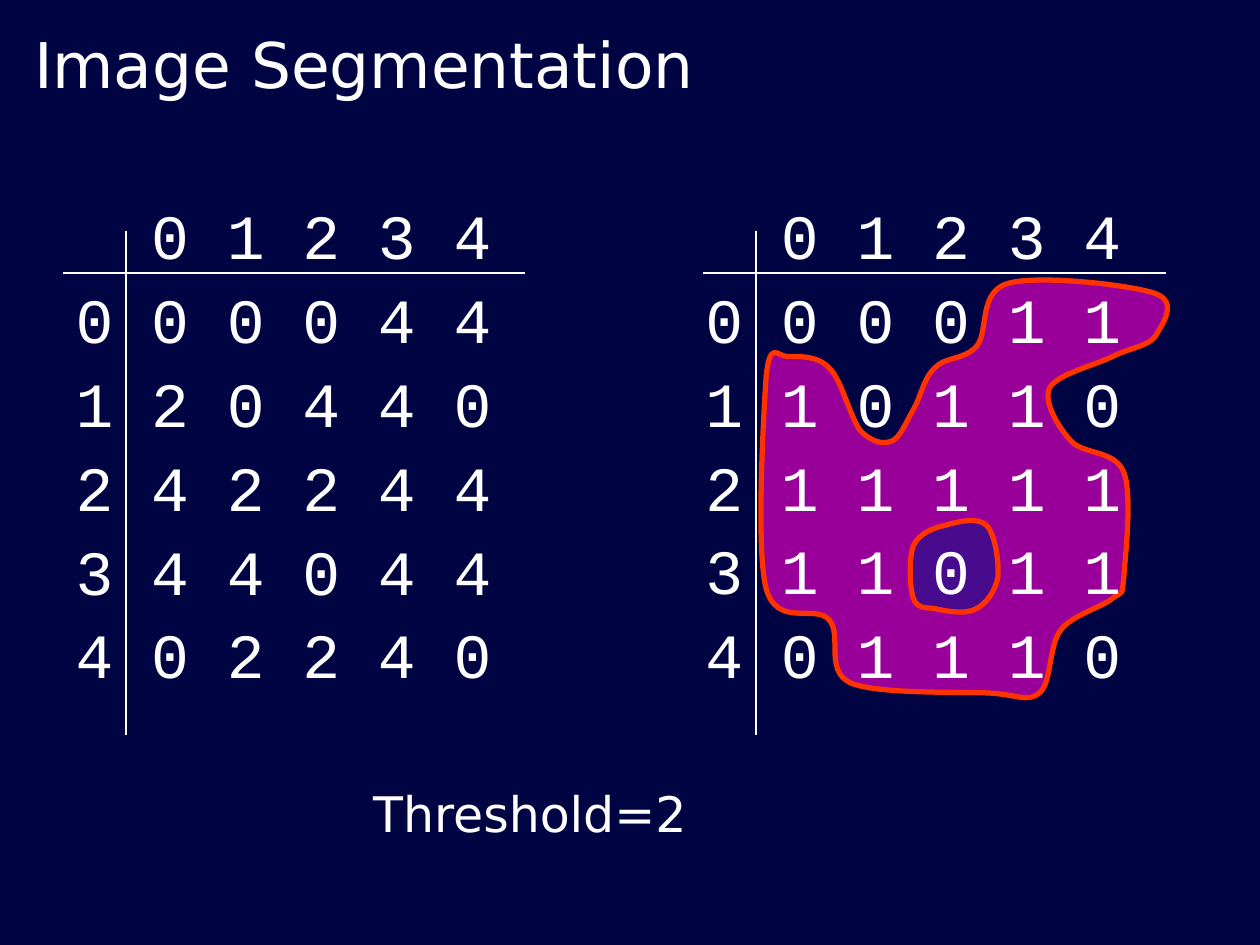
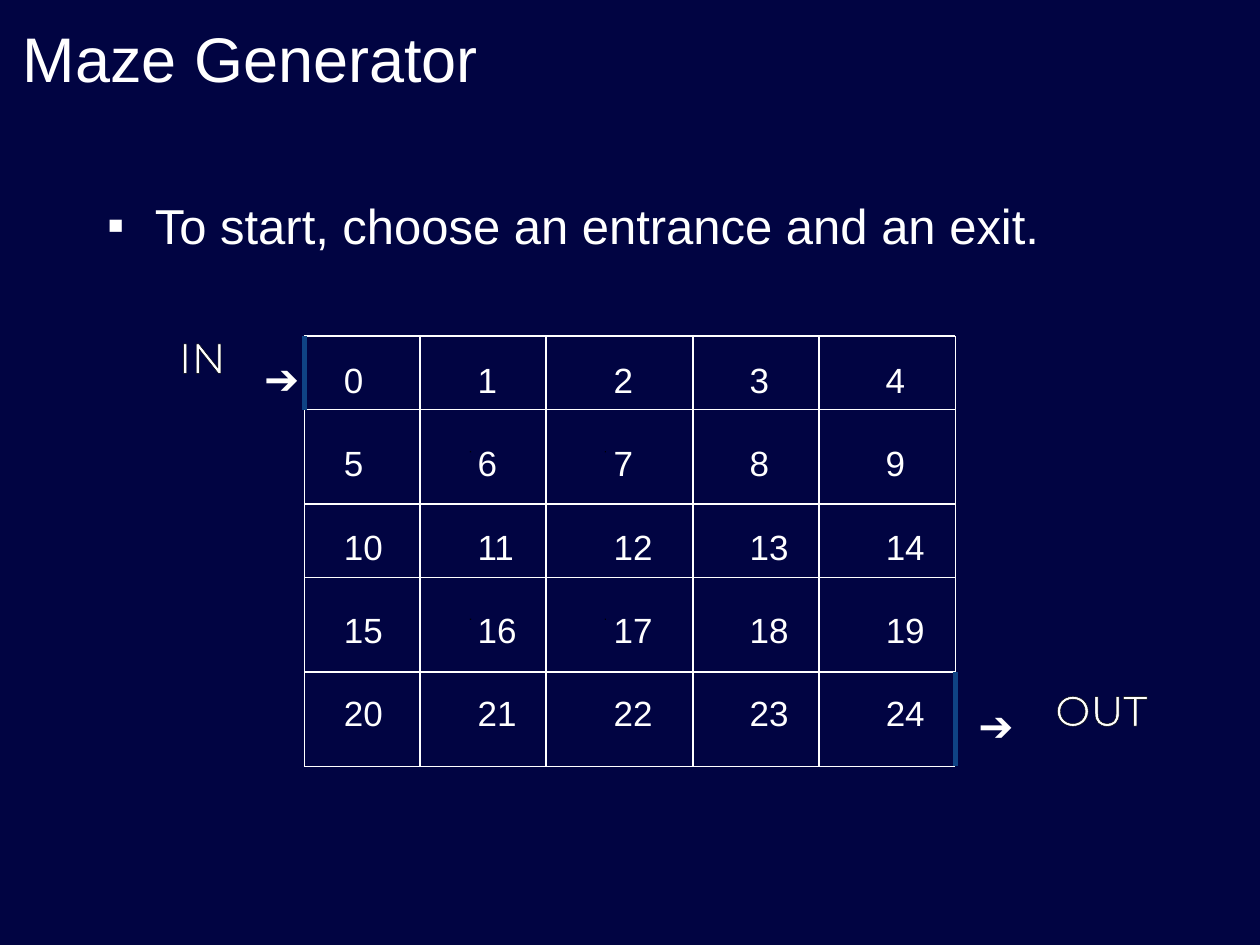
from itertools import product
from lxml.etree import SubElement as Sub
from pptx import Presentation
from pptx.dml.color import RGBColor as Rgb
from pptx.enum.shapes import MSO_CONNECTOR as Link, MSO_SHAPE as Shape
from pptx.enum.text import MSO_ANCHOR as Anchor, MSO_AUTO_SIZE as Auto, PP_ALIGN as Align
from pptx.oxml.ns import qn
from pptx.util import Pt

PX = 9144
UNIT = 100 / 12
COLORS = dict(back="010442", text="FFFFFF", edge="000000", region="990099",
              hole="490B8D", rim="FF3300", door="0F4384")
SANS, MONO, ROUND, WIDE = "Arial", "Courier New", "Montserrat", "DejaVu Sans"

HEAD = "0 1 2 3 4"
PIXELS = [HEAD, "0 0 0 0 4 4", "1 2 0 4 4 0", "2 4 2 2 4 4", "3 4 4 0 4 4", "4 0 2 2 4 0"]
MASK = [HEAD, "0 0 0 0 1 1", "1 1 0 1 1 0", "2 1 1 1 1 1", "3 1 1 0 1 1", "4 0 1 1 1 0"]
AXES = [(6, 26, 50, 26), (12, 22, 12, 70), (67, 26, 111, 26), (72, 22, 72, 70)]

REGION = [
    (608, 300), (606, 331), (600, 435), (608, 467), (617, 499), (647, 479), (658, 492),
    (669, 504), (654, 532), (675, 542), (696, 551), (758, 549), (783, 550),
    (808, 551), (815, 558), (825, 550), (835, 542), (832, 513), (842, 500),
    (851, 488), (875, 482), (883, 475), (892, 468), (890, 475), (892, 458),
    (893, 442), (899, 393), (892, 375), (885, 357), (860, 361), (850, 350),
    (840, 339), (828, 319), (833, 308), (839, 297), (869, 290), (883, 283),
    (897, 276), (911, 275), (917, 267), (922, 258), (936, 240), (917, 233),
    (897, 226), (824, 218), (800, 225), (776, 232), (785, 264), (775, 275),
    (765, 286), (750, 283), (742, 292), (733, 300), (731, 315), (725, 325),
    (719, 335), (715, 347), (708, 350), (701, 353), (692, 351), (683, 342),
    (675, 332), (668, 301), (658, 292), (649, 282), (633, 283), (625, 283),
    (617, 283), (611, 269), (608, 300)]
HOLE = [
    (750, 417), (740, 419), (729, 424), (725, 433), (721, 443), (722, 467), (725, 475),
    (728, 483), (733, 482), (742, 483), (750, 485), (767, 488), (775, 483),
    (783, 479), (790, 469), (792, 458), (793, 447), (790, 424), (783, 417),
    (776, 410), (760, 414), (750, 417)]

WALLS_X = [29, 40, 52, 66, 78, 91]
WALLS_Y = [32, 39, 48, 55, 64, 73]
CELLS_X = [273, 379, 487, 595, 703]
CELLS_Y = [284.4 + 66.2 * row for row in range(5)]
DOTS_X, DOTS_Y = [373, 480], [358, 491]
SIGNS = [("IN", (130, 258, 61, 71)), ("OUT", (814, 538, 120, 71))]
ARROWS = [(756, 550, 69, 50), (189, 275, 69, 50)]


def emu(vals):
    return [round(v * PX) for v in vals]


def rgb(name):
    return Rgb.from_string(COLORS[name])


def write(box, lines, size, face, align=Align.LEFT, wrap=True, grow=False):
    frame = box.text_frame
    frame.text = "\n".join(lines)
    frame.word_wrap = wrap
    frame.auto_size = Auto.SHAPE_TO_FIT_TEXT if grow else Auto.NONE
    for para in frame.paragraphs:
        para.alignment = align
        para.font.size, para.font.name = Pt(size), face
        para.font.color.rgb = rgb("text")
    return frame


def label(slide, area, text, size, face, **opts):
    return write(slide.shapes.add_textbox(*emu(area)), [text], size, face, **opts)


def place(box, area):
    box.left, box.top, box.width, box.height = emu(area)


def title(slide, text, face, area):
    box = slide.shapes.title
    place(box, area)
    write(box, [text], 36, face).vertical_anchor = Anchor.MIDDLE


def indent(para, left, first, mark=None):
    props = para._p.get_or_add_pPr()
    font = props.find(qn("a:defRPr"))
    props.set("marL", str(left * PX))
    props.set("indent", str(first * PX))
    if mark:
        Sub(Sub(props, qn("a:buClr")), qn("a:srgbClr"), val=COLORS["text"])
        Sub(props, qn("a:buFont"), typeface=SANS)
        Sub(props, qn("a:buChar"), char=mark)
    else:
        Sub(props, qn("a:buNone"))
    props.append(font)


def matrix(box, rows):
    frame = write(box, rows, 36, MONO)
    for num, para in enumerate(frame.paragraphs):
        indent(para, *((38, -38) if num else (60, 0)))
        para.line_spacing = 0.9
        para.space_before = Pt(9 if num else 0)


def line(slide, ends, color="text", width=0.75):
    spots = emu([end * UNIT for end in ends])
    link = slide.shapes.add_connector(Link.STRAIGHT, *spots)
    link.line.color.rgb, link.line.width = rgb(color), Pt(width)
    Sub(link._element.spPr, qn("a:effectLst"))


def paint(form, color):
    form.shadow.inherit = False
    form.fill.solid()
    form.fill.fore_color.rgb = rgb(color)


def blob(slide, knots, color):
    pen = slide.shapes.build_freeform(*knots[0], scale=PX)
    pen.add_line_segments(knots[1:], close=True)
    form = pen.convert_to_shape()
    route = form._element.find(".//" + qn("a:path"))
    legs = route.findall(qn("a:lnTo"))
    for at in range(0, len(knots) - 1, 3):
        bend = Sub(route, qn("a:cubicBezTo"))
        for leg in legs[at:at + 3]:
            bend.append(leg[0])
    for leg in legs:
        route.remove(leg)
    route.append(route.find(qn("a:close")))
    paint(form, color)
    form.line.color.rgb, form.line.width = rgb("rim"), Pt(3)


def segment(slide):
    title(slide, "Image Segmentation", WIDE, (17, 0, 892, 100))
    blob(slide, REGION, "region")
    blob(slide, HOLE, "hole")
    body = slide.placeholders[1]
    place(body, (50, 158, 433, 500))
    matrix(body, PIXELS)
    matrix(slide.shapes.add_textbox(*emu((550, 158, 433, 500))), MASK)
    for ends in AXES:
        line(slide, ends)
    label(slide, (258, 617, 325, 57), "Threshold=2", 28, WIDE, align=Align.CENTER, grow=True)


def maze(slide):
    title(slide, "Maze Generator", SANS, (8, -17, 850, 125))
    body = slide.placeholders[1]
    place(body, (75, 150, 850, 67))
    frame = write(body, ["To start, choose an entrance and an exit."], 28, SANS)
    indent(frame.paragraphs[0], 38, -38, "▪")
    frame.paragraphs[0].space_before = Pt(0)
    for text, area in SIGNS:
        frame = label(slide, area, text, 24, ROUND, align=Align.CENTER, wrap=False)
        props = frame.paragraphs[0].runs[0]._r.get_or_add_rPr()
        rim = Sub(props, qn("a:ln"), w=str(Pt(0.75)))
        Sub(Sub(rim, qn("a:solidFill")), qn("a:srgbClr"), val=COLORS["edge"])
    for num, (y, x) in enumerate(product(CELLS_Y, CELLS_X)):
        area = (x, y, 16 if num < 10 else 31, 33)
        frame = label(slide, area, str(num), 20, SANS, wrap=False, grow=True)
        frame.margin_left = frame.margin_right = frame.margin_top = frame.margin_bottom = 0
    for y, x in product(DOTS_Y, DOTS_X):
        dot = slide.shapes.add_shape(Shape.RECTANGLE, *emu((x, y, 1, 1)))
        paint(dot, "edge")
        dot.line.fill.background()
    left, right, top, low = WALLS_X[0], WALLS_X[-1], WALLS_Y[0], WALLS_Y[-1]
    for x in WALLS_X:
        line(slide, (x, top, x, low))
    for y in WALLS_Y:
        line(slide, (left, y, right, y))
    for area in ARROWS:
        label(slide, area, "➔", 24, SANS, align=Align.CENTER, grow=True)
    line(slide, (left, top, left, WALLS_Y[1]), "door", 3)
    line(slide, (right, WALLS_Y[-2], right, low), "door", 3)


def main():
    """Build the segmentation and maze slides."""
    deck = Presentation()
    deck.slide_width, deck.slide_height = emu((1000, 750))
    fill = deck.slide_master.background.fill
    fill.solid()
    fill.fore_color.rgb = rgb("back")
    for build in (segment, maze):
        build(deck.slides.add_slide(deck.slide_layouts[1]))
    deck.save("out.pptx")


if __name__ == "__main__":
    main()
